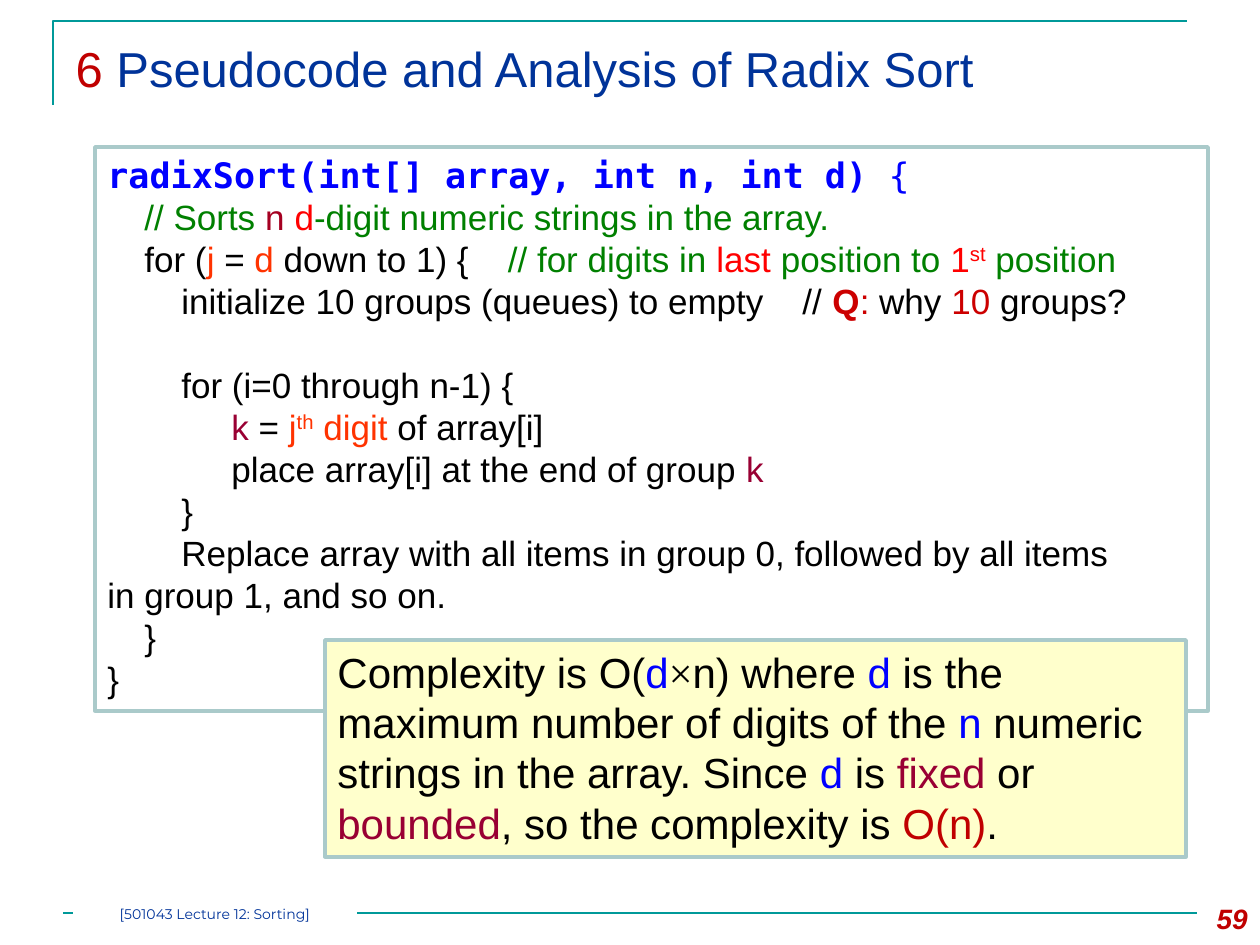
from lxml import etree
from pptx import Presentation
from pptx import util as u
from pptx.dml.color import RGBColor
from pptx.enum import shapes, text
from pptx.oxml.ns import qn

HUES = {
    "black": "000000", "white": "FFFFFF", "teal": "009999", "navy": "003399",
    "edge": "AACACA", "cream": "FFFFCC", "blue": "0000FF", "green": "008000",
    "red": "FF0000", "orange": "FF3300", "crimson": "A50021", "wine": "990033",
    "brick": "C00000", "scarlet": "CC0000",
}
SCALE = 914400 / 126  # EMU in one px


def px(*nums):
    return [u.Emu(round(n * SCALE)) for n in nums]


def write(par, runs, size=20, font="Arial", bold=False, italic=False,
          align=None, pitch=None, before=0):
    """Each run is (words, hue) or (words, hue, changes)."""
    par.alignment = align
    par.space_before = u.Pt(before)
    if pitch:
        par.line_spacing = u.Pt(pitch)
    for words, hue, *more in runs:
        look = {"font": font, "bold": bold, "raised": False}
        look.update(*more)
        run = par.add_run()
        run.text = words
        run.font.size = u.Pt(size)
        run.font.name = look["font"]
        run.font.bold = look["bold"]
        run.font.italic = italic
        run.font.color.rgb = RGBColor.from_string(HUES[hue])
        if look["raised"]:
            run._r.get_or_add_rPr().set("baseline", "30000")


deck = Presentation()
deck.slide_width, deck.slide_height = px(1260, 945)
slide = deck.slides.add_slide(deck.slide_layouts[5])
teal = RGBColor.from_string(HUES["teal"])

# Corner rule and footer rule
pen = slide.shapes.build_freeform(53, 105, scale=SCALE)
pen.add_line_segments([(53, 21), (1187, 21)], close=False)
corner = pen.convert_to_shape()
corner.fill.background()
corner.shadow.inherit = False
rule = slide.shapes.add_connector(
    shapes.MSO_CONNECTOR.STRAIGHT, *px(63, 913, 1197, 913))
etree.SubElement(rule._element.spPr, qn("a:effectLst"))
for item in (corner, rule):
    item.line.color.rgb = teal
    item.line.width = u.Pt(1.5)

# Title
title = slide.shapes.title
title.left, title.top, title.width, title.height = px(63, 32, 1134, 126)
title.text_frame.vertical_anchor = text.MSO_ANCHOR.TOP
write(title.text_frame.paragraphs[0],
      [("6 ", "brick"), ("Pseudocode and Analysis of Radix Sort", "navy")],
      size=28, align=text.PP_ALIGN.LEFT)

# Page number
page = slide.shapes.add_textbox(*px(1176, 895, 84, 50)).text_frame
page.word_wrap = True
write(page.paragraphs[0], [("59", "brick")], size=16, bold=True, italic=True,
      align=text.PP_ALIGN.RIGHT)

# Panels: code, complexity note, footer label
frames = []
for spot, fill, edge in (
    ((95, 147, 1113, 564), "white", "edge"),
    ((325, 640, 861, 217), "cream", "edge"),
    ((73, 903, 284, 21), "white", None),
):
    box = slide.shapes.add_shape(shapes.MSO_SHAPE.RECTANGLE, *px(*spot))
    box.shadow.inherit = False
    box.fill.solid()
    box.fill.fore_color.rgb = RGBColor.from_string(HUES[fill])
    if edge:
        box.line.color.rgb = RGBColor.from_string(HUES[edge])
        box.line.width = u.Pt(2)
    else:
        box.line.fill.background()
    frame = box.text_frame
    frame.word_wrap = True
    frame.vertical_anchor = text.MSO_ANCHOR.TOP
    frames.append(frame)
code, note, label = frames

# Pseudocode, one list of runs per line
MONO = {"font": "DejaVu Sans Mono"}
LINES = [
    [("radixSort(int[] array, int n, int d) ", "blue", {**MONO, "bold": True}),
     ("{", "blue", MONO)],
    [("\t// Sorts ", "green"), ("n ", "crimson"), ("d", "red"),
     ("-digit numeric strings in the array.", "green")],
    [("\tfor (", "black"), ("j ", "orange"), ("= ", "black"), ("d", "orange"),
     (" down to 1) {    ", "black"), ("// for digits in ", "green"),
     ("last ", "red"), ("position to ", "green"), ("1", "red"),
     ("st", "red", {"raised": True}), (" position", "green")],
    [("\t\tinitialize 10 groups (queues) to empty    // ", "black"),
     ("Q", "scarlet", {"bold": True}), (":", "scarlet"), (" why ", "black"),
     ("10", "scarlet"), (" groups?", "black")],
    [("\t\tfor (i=0 through n-1) {", "black")],
    [("\t\t\tk ", "wine"), ("= ", "black"), ("j", "orange"),
     ("th", "orange", {"raised": True}), (" digit", "orange"),
     (" of array[i]", "black")],
    [("\t\t\tplace array[i] at the end of group ", "black"), ("k", "wine")],
    [("\t\t}", "black")],
    [("\t\tReplace array with all items in group 0, followed by all items "
      "\t\tin group 1, and so on.", "black")],
    [("\t}", "black")],
    [("}", "black")],
]
GAP = 4  # the line that follows a one-line gap
for n, runs in enumerate(LINES):
    par = code.paragraphs[0] if n == 0 else code.add_paragraph()
    write(par, runs, pitch=24, before=24 if n == GAP else 0,
          align=text.PP_ALIGN.LEFT)
    tabs = etree.SubElement(par._p.get_or_add_pPr(), qn("a:tabLst"))
    for stop in px(37, 74, 124, 161, 198):
        etree.SubElement(tabs, qn("a:tab"), pos=str(int(stop)), algn="l")

# Complexity note
write(note.paragraphs[0], [
    ("Complexity is O(", "black"), ("d", "blue"),
    ("×", "black", {"font": "Times New Roman"}), ("n) where ", "black"),
    ("d", "blue"), (" is the maximum number of digits of the ", "black"),
    ("n", "blue"), (" numeric strings in the array. Since ", "black"),
    ("d", "blue"), (" is ", "black"), ("fixed", "wine"), (" or ", "black"),
    ("bounded", "wine"), (", so the complexity is ", "black"),
    ("O(n)", "brick"), (".", "black"),
], size=24, pitch=28.8, align=text.PP_ALIGN.LEFT)

# Footer label
label.margin_left = label.margin_right = 0
label.margin_top = label.margin_bottom = 0
label.vertical_anchor = text.MSO_ANCHOR.MIDDLE
write(label.paragraphs[0], [("[501043 Lecture 12: Sorting]", "navy")],
      size=8, font="Montserrat", align=text.PP_ALIGN.CENTER)

deck.save("out.pptx")
